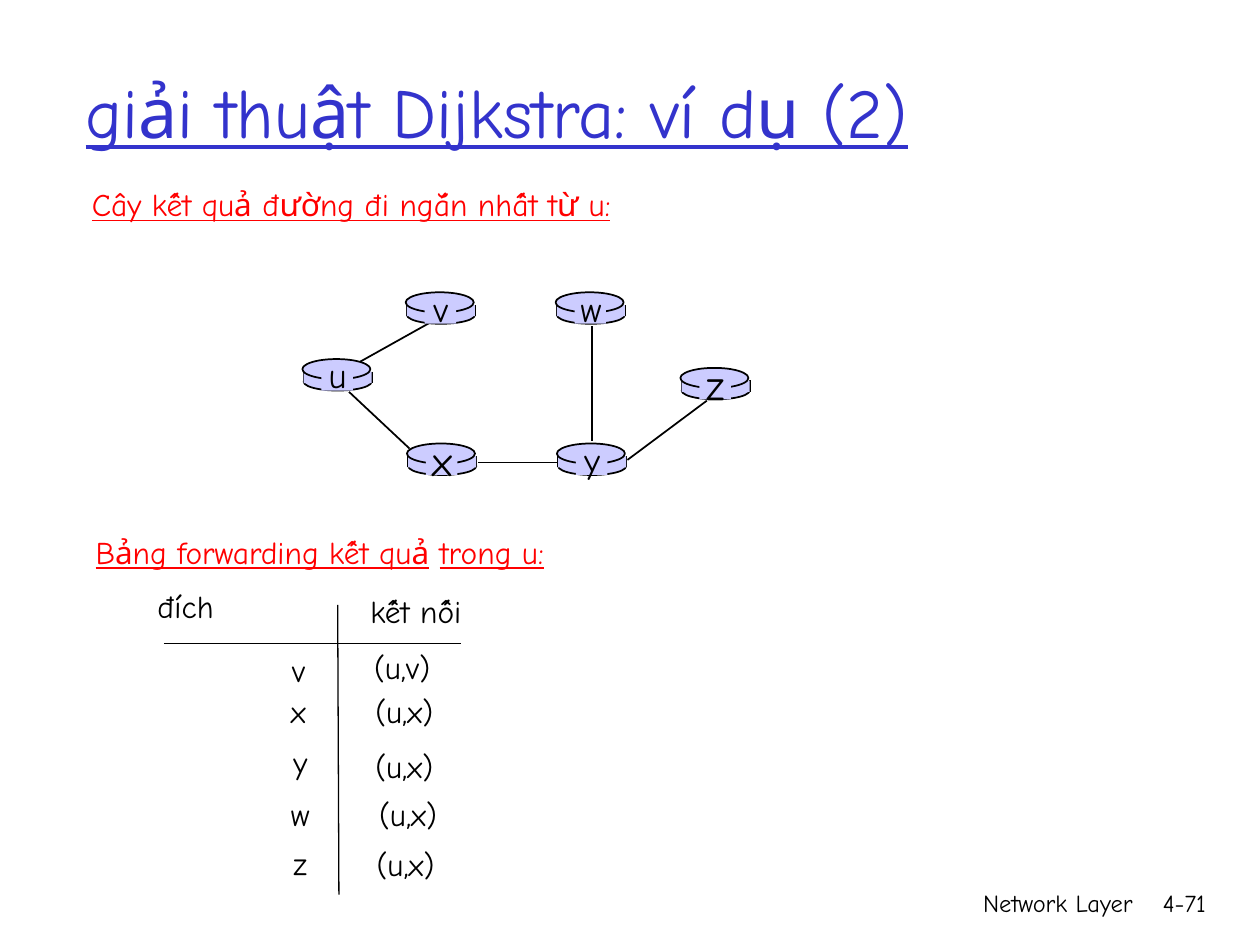
"""Build the slide with the shortest path tree and forwarding table of node u."""
from typing import NamedTuple

from lxml.etree import SubElement
from pptx import Presentation
from pptx.dml.color import RGBColor
from pptx.enum.shapes import MSO_CONNECTOR, MSO_SHAPE
from pptx.enum.text import MSO_ANCHOR, MSO_AUTO_SIZE, PP_ALIGN
from pptx.oxml.ns import qn
from pptx.util import Pt

PX = 9144
FONT = "Comic Neue"
BLACK = RGBColor(0x00, 0x00, 0x00)
BLUE = RGBColor(0x33, 0x33, 0xCC)
RED = RGBColor(0xFF, 0x00, 0x00)
LILAC = RGBColor(0xCC, 0xCC, 0xFF)


class Box(NamedTuple):
    """Hold a place and a size in px."""
    x: int
    y: int
    w: int
    h: int


class Run(NamedTuple):
    """Hold a stretch of text and its look."""
    text: str
    size: int = 18
    color: RGBColor = BLACK
    under: bool = False


class Node(NamedTuple):
    """Hold a router of the tree."""
    name: str
    x: int
    y: int
    size: int = 20


class Link(NamedTuple):
    """Hold the two ends of a line."""
    x1: int
    y1: int
    x2: int
    y2: int


class Row(NamedTuple):
    """Hold a row of the table: two texts with their places and widths."""
    dest: str
    dx: int
    dy: int
    link: str
    lx: int
    ly: int
    dw: int = 36
    lw: int = 68


NODES = [
    Node("u", 240, 285), Node("x", 323, 352, 24), Node("v", 322, 232),
    Node("w", 441, 232), Node("y", 442, 352), Node("z", 540, 292, 24),
]
LINKS = [
    Link(286, 287, 345, 254), Link(470, 259, 470, 350), Link(498, 365, 561, 318),
    Link(443, 367, 379, 367), Link(325, 356, 277, 311),
]
RULES = [Link(268, 480, 269, 710), Link(130, 511, 366, 511)]
ROWS = [
    Row("đích", 115, 461, "kết nối", 284, 465, 67, 95),
    Row("v", 222, 512, "(u,v)", 287, 509),
    Row("x", 221, 544, "(u,x)", 288, 544),
    Row("y", 223, 585, "(u,x)", 288, 588),
    Row("w", 221, 626, "(u,x)", 291, 626),
    Row("z", 223, 665, "(u,x)", 289, 666),
]


def emu(*vals: int) -> list[int]:
    """Turn px into EMU."""
    return [val * PX for val in vals]


def write(frame, runs: list[Run], align=PP_ALIGN.LEFT) -> None:
    """Add the runs to the first paragraph of a frame."""
    para = frame.paragraphs[0]
    para.alignment = align
    for item in runs:
        run = para.add_run()
        run.text = item.text
        font = run.font
        font.name, font.size = FONT, Pt(item.size)
        font.color.rgb = item.color
        font.underline = item.under


def label(shapes, box: Box, runs: list[Run], align=PP_ALIGN.LEFT,
          wrap: bool = False) -> None:
    """Draw a text box."""
    frame = shapes.add_textbox(*emu(*box)).text_frame
    frame.word_wrap = wrap
    frame.auto_size = MSO_AUTO_SIZE.NONE if wrap else MSO_AUTO_SIZE.SHAPE_TO_FIT_TEXT
    write(frame, runs, align)


def line(shapes, link: Link, width: float = 1) -> None:
    """Draw a straight black line."""
    wire = shapes.add_connector(MSO_CONNECTOR.STRAIGHT, *emu(*link))
    wire.line.color.rgb = BLACK
    wire.line.width = Pt(width)
    SubElement(wire._element.spPr, qn("a:effectLst"))


def solid(shapes, kind: MSO_SHAPE, box: Box, edge: bool) -> None:
    """Draw a lilac shape with or without an edge."""
    shape = shapes.add_shape(kind, *emu(*box))
    shape.shadow.inherit = False
    shape.fill.solid()
    shape.fill.fore_color.rgb = LILAC
    if edge:
        shape.line.color.rgb = BLACK
        shape.line.width = Pt(1)
    else:
        shape.line.fill.background()


def router(shapes, node: Node) -> None:
    """Draw a router disc with its letter."""
    x, y = node.x, node.y
    solid(shapes, MSO_SHAPE.OVAL, Box(x + 1, y + 11, 54, 14), True)
    for side in (x + 1, x + 55):
        line(shapes, Link(side, y + 10, side, y + 19))
    solid(shapes, MSO_SHAPE.RECTANGLE, Box(x + 1, y + 10, 54, 9), False)
    solid(shapes, MSO_SHAPE.OVAL, Box(x, y, 54, 16), True)
    solid(shapes, MSO_SHAPE.RECTANGLE, Box(x + 15, y + 2, 25, 23), False)
    high = 44 if node.size == 20 else 50
    box = Box(x + 10, y + 13 - high // 2, 36, high)
    label(shapes, box, [Run(node.name, node.size)], PP_ALIGN.CENTER)


def main() -> None:
    """Build and save the slide."""
    deck = Presentation()
    deck.slide_width, deck.slide_height = emu(1000, 750)
    slide = deck.slides.add_slide(deck.slide_layouts[5])
    shapes = slide.shapes

    title = shapes.title
    title.left, title.top, title.width, title.height = emu(58, 25, 850, 125)
    title.text_frame.auto_size = MSO_AUTO_SIZE.NONE
    title.text_frame.vertical_anchor = MSO_ANCHOR.MIDDLE
    write(title.text_frame, [Run("giải thuật Dijkstra: ví dụ (2)", 40, BLUE, True)])

    label(shapes, Box(592, 700, 317, 50), [Run("Network Layer", 14)], PP_ALIGN.RIGHT, True)
    label(shapes, Box(893, 700, 74, 50), [Run("4-71", 14)], PP_ALIGN.RIGHT, True)

    tree = shapes.add_group_shape().shapes
    for link in LINKS:
        line(tree, link)
    for node in NODES:
        router(tree, node)
    label(shapes, Box(63, 142, 432, 40),
          [Run("Cây kết quả đường đi ngắn nhất từ u:", 18, RED, True)])

    table = shapes.add_group_shape().shapes
    for rule in RULES:
        line(table, rule, 0.75)
    for row in ROWS:
        label(table, Box(row.dx, row.dy, row.dw, 40), [Run(row.dest)])
        label(table, Box(row.lx, row.ly, row.lw, 40), [Run(row.link)])
    label(shapes, Box(66, 418, 378, 40), [
        Run("Bảng forwarding kết quả", 18, RED, True), Run(" "),
        Run("trong u:", 18, RED, True),
    ])
    deck.save("out.pptx")


if __name__ == "__main__":
    main()
